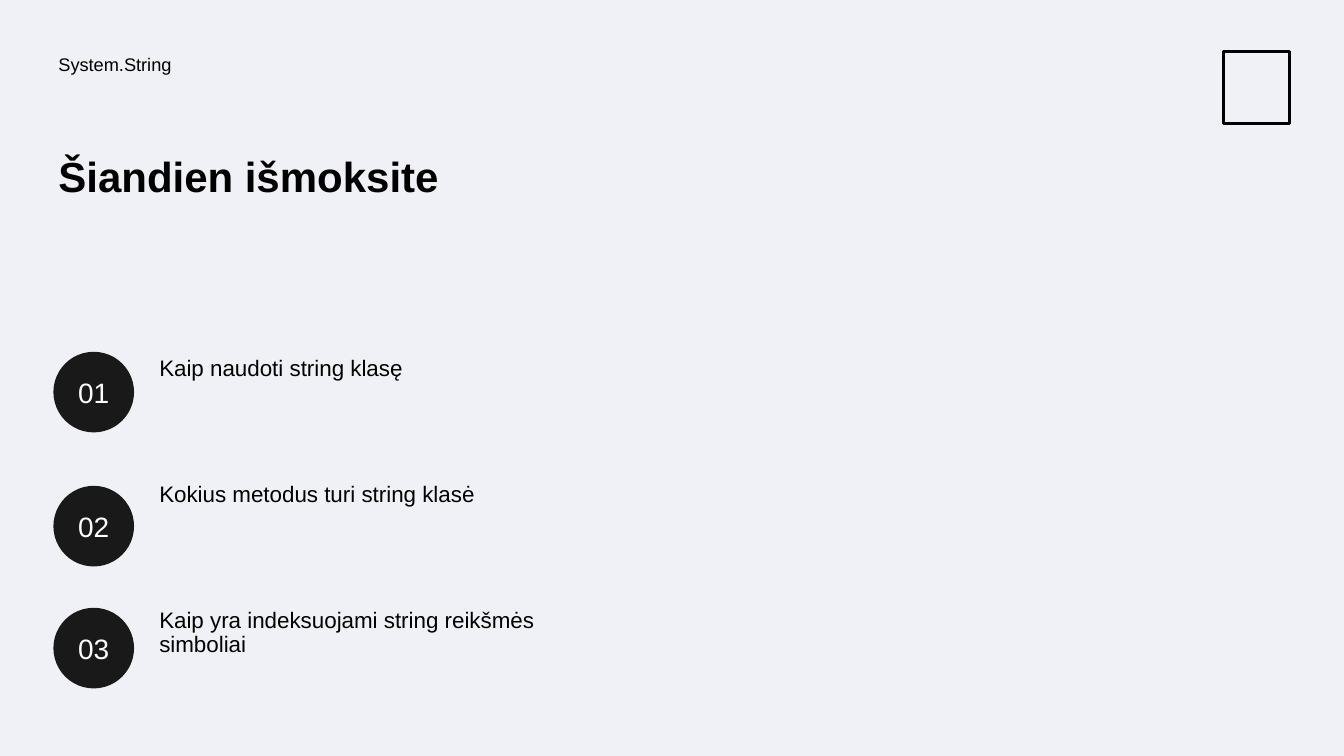
from pptx import Presentation
from pptx.dml.color import RGBColor
from pptx.enum.shapes import MSO_SHAPE
from pptx.enum.text import MSO_ANCHOR, PP_ALIGN
from pptx.util import Inches, Pt

BACKGROUND = RGBColor(0xF0, 0xF1, 0xF6)
BLACK = RGBColor(0x00, 0x00, 0x00)
CIRCLE = RGBColor(0x19, 0x19, 0x19)
NUMBER = RGBColor(0xFE, 0xFF, 0xFF)

LEFT = 0.53
# Top of the circle, top of the text, text
TOPICS = [
    (3.49, 3.49, "Kaip naudoti string klasę"),
    (4.82, 4.74, "Kokius metodus turi string klasė"),
    (6.03, 5.99, "Kaip yra indeksuojami string reikšmės simboliai"),
]


def write(shape, text, size, color=BLACK, bold=False, align=PP_ALIGN.LEFT,
          anchor=MSO_ANCHOR.TOP, spacing=0.9, inset=0.05):
    tf = shape.text_frame
    tf.word_wrap = True
    tf.vertical_anchor = anchor
    tf.margin_left = tf.margin_right = Inches(inset)
    tf.margin_top = tf.margin_bottom = Inches(inset)
    p = tf.paragraphs[0]
    p.alignment = align
    p.line_spacing = spacing
    r = p.add_run()
    r.text = text
    r.font.name = "Arial"
    r.font.size = Pt(size)
    r.font.bold = bold
    r.font.color.rgb = color


def add_text(s, box, text, size, **fmt):
    write(s.shapes.add_textbox(*map(Inches, box)), text, size, **fmt)


def add_header(s, left, top):
    add_text(s, (left, top, 6.14, 0.5), "System.String", 13)
    add_text(s, (left, top + 1, 5.64, 1.49), "Šiandien išmoksite", 30, bold=True)


def add_emblem(s, left, top, width, height):
    """Plain outlined frame in the top right corner."""
    line = 0.03
    frame = s.shapes.add_shape(
        MSO_SHAPE.RECTANGLE, Inches(left + line / 2), Inches(top + line / 2),
        Inches(width - line), Inches(height - line))
    frame.shadow.inherit = False
    frame.fill.background()
    frame.line.color.rgb = BLACK
    frame.line.width = Inches(line)


def add_topic(s, left, circle_top, text_top, number, text):
    circle = s.shapes.add_shape(
        MSO_SHAPE.OVAL, Inches(left), Inches(circle_top), Inches(0.8), Inches(0.8))
    circle.shadow.inherit = False
    circle.fill.solid()
    circle.fill.fore_color.rgb = CIRCLE
    circle.line.fill.background()
    write(circle, f"{number:02}", 20, color=NUMBER, align=PP_ALIGN.CENTER,
          anchor=MSO_ANCHOR.MIDDLE, spacing=1.0, inset=0)
    add_text(s, (left + 1, text_top, 4.63, 0.99), text, 16)


def main():
    prs = Presentation()
    prs.slide_width, prs.slide_height = Inches(13.33), Inches(7.5)
    s = prs.slides.add_slide(prs.slide_layouts[6])
    s.background.fill.solid()
    s.background.fill.fore_color.rgb = BACKGROUND

    add_emblem(s, 12.12, 0.5, 0.69, 0.74)
    add_header(s, LEFT, 0.5)
    for number, (circle_top, text_top, text) in enumerate(TOPICS, 1):
        add_topic(s, LEFT, circle_top, text_top, number, text)
    prs.save("out.pptx")


if __name__ == "__main__":
    main()
